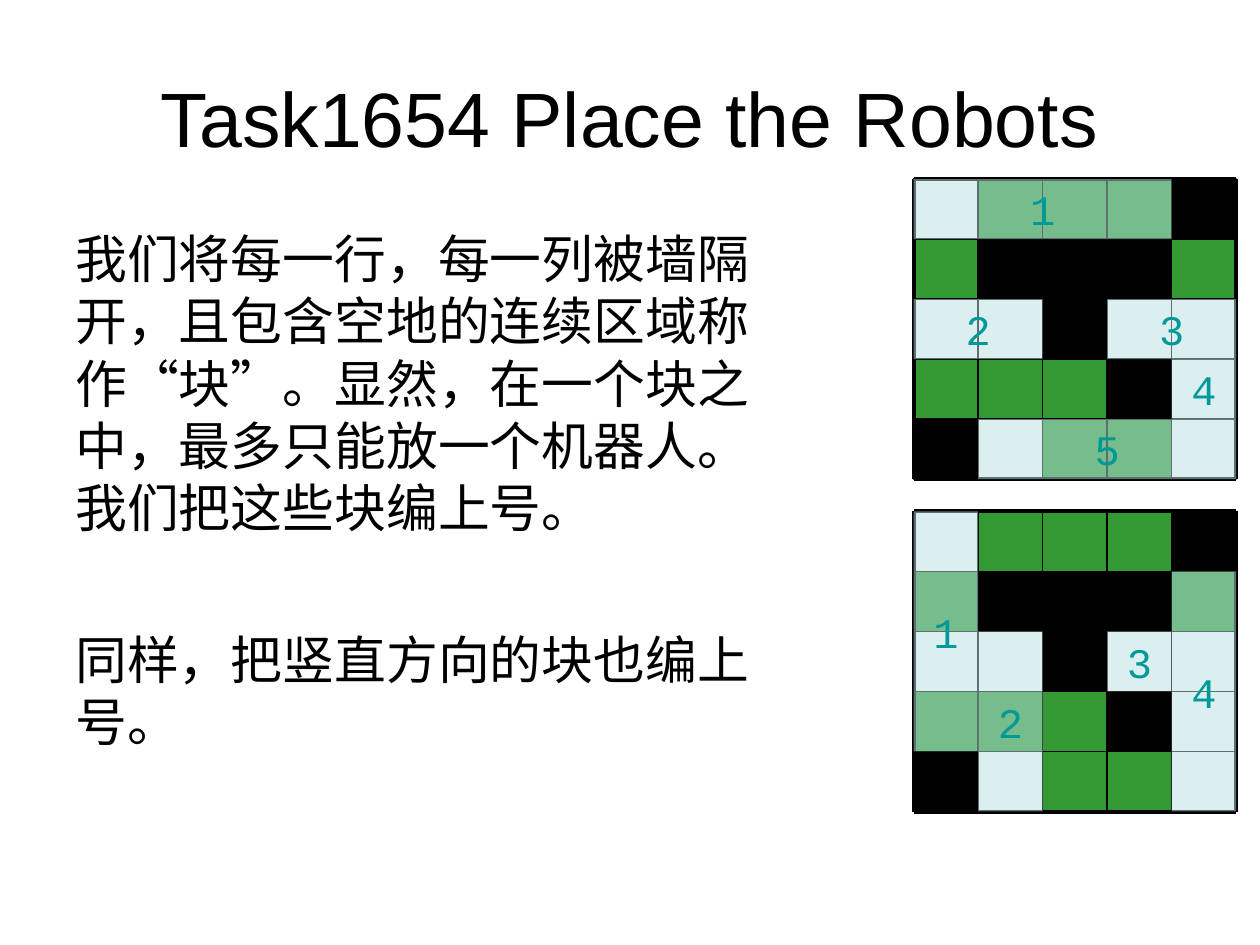
import pptx
import pptx.util
import pptx.dml.color
import pptx.enum.lang
import pptx.enum.shapes
import pptx.enum.text
import pptx.oxml
import pptx.oxml.ns
from lxml import etree

Cm = pptx.util.Cm
Pt = pptx.util.Pt
RGBColor = pptx.dml.color.RGBColor
Align = pptx.enum.text.PP_ALIGN
Anchor = pptx.enum.text.MSO_ANCHOR
Language = pptx.enum.lang.MSO_LANGUAGE_ID
qn = pptx.oxml.ns.qn

BLACK = RGBColor(0x00, 0x00, 0x00)
GREEN = RGBColor(0x33, 0x99, 0x33)
PALE_BLUE = RGBColor(0xBB, 0xE0, 0xE3)
TEAL = RGBColor(0x00, 0x99, 0x99)

CELL_WIDTH = 1.3
CELL_HEIGHT = 1.21
MAP_ROWS = [".GGG#", "G###G", "..#..", "GGG#.", "#.GG."]
CELL_FILLS = {"G": GREEN, "#": BLACK, ".": None}

ROW_BLOCKS = [("1", 0, 0, 4, 1), ("2", 0, 2, 2, 1), ("3", 3, 2, 2, 1),
              ("4", 4, 3, 1, 1), ("5", 1, 4, 4, 1)]
COLUMN_BLOCKS = [("1", 0, 0, 1, 4), ("2", 1, 2, 1, 3), ("3", 3, 2, 1, 1),
                 ("4", 4, 1, 1, 4)]

BODY_TEXTS = [
    "我们将每一行，每一列被墙隔开，且包含空地的连续区域称作“块”。显然，在一个块之中，最多只能放一个机器人。我们把这些块编上号。",
    "同样，把竖直方向的块也编上号。",
]


def write_text(paragraph, text, size, font="Arial", color=BLACK, align=Align.LEFT,
               before=0, language=Language.ENGLISH_US):
    paragraph.alignment = align
    paragraph.space_before = Pt(before)
    run = paragraph.add_run()
    run.text = text
    run.font.size = Pt(size)
    run.font.name = font
    run.font.color.rgb = color
    run.font.language_id = language


def add_text_frame(slide, left, top, width, height, anchor):
    text_box = slide.shapes.add_textbox(Cm(left), Cm(top), Cm(width), Cm(height))
    frame = text_box.text_frame
    frame.word_wrap = True
    frame.vertical_anchor = anchor
    return frame


def add_title(slide, left, top, width, height):
    frame = add_text_frame(slide, left, top, width, height, Anchor.MIDDLE)
    write_text(frame.paragraphs[0], "Task1654 Place the Robots", 44, align=Align.CENTER)


def add_body(slide, left, top, width, height):
    frame = add_text_frame(slide, left, top, width, height, Anchor.TOP)
    first, second = BODY_TEXTS
    write_text(frame.paragraphs[0], first, 29.6, language=Language.SIMPLIFIED_CHINESE)
    write_text(frame.add_paragraph(), second, 29.6, before=51.6,
               language=Language.SIMPLIFIED_CHINESE)


def add_rectangle(shapes, left, top, width, height, fill):
    shape = shapes.add_shape(pptx.enum.shapes.MSO_SHAPE.RECTANGLE,
                             Cm(left), Cm(top), Cm(width), Cm(height))
    shape.shadow.inherit = False
    if fill is None:
        shape.fill.background()
    else:
        shape.fill.solid()
        shape.fill.fore_color.rgb = fill
    return shape


def add_cell(shapes, left, top, fill):
    cell = add_rectangle(shapes, left, top, CELL_WIDTH, CELL_HEIGHT, fill)
    cell.line.color.rgb = BLACK
    cell.line.width = Pt(0.75)


def add_border(shapes, start_x, start_y, end_x, end_y):
    border = shapes.add_connector(pptx.enum.shapes.MSO_CONNECTOR.STRAIGHT,
                                  Cm(start_x), Cm(start_y), Cm(end_x), Cm(end_y))
    border.line.color.rgb = BLACK
    border.line.width = Pt(2.25)
    etree.SubElement(border._element.spPr, qn("a:effectLst"))


def add_block(shapes, label, left, top, width, height):
    block = add_rectangle(shapes, left, top, width, height, PALE_BLUE)
    block.line.fill.background()
    color = block._element.spPr.find(qn("a:solidFill"))[0]
    etree.SubElement(color, qn("a:alpha")).set("val", "50000")
    block.text_frame.word_wrap = True
    block.text_frame.vertical_anchor = Anchor.MIDDLE
    write_text(block.text_frame.paragraphs[0], label, 24, font="Courier New",
               color=TEAL, align=Align.CENTER)


def add_map(slide, left, top, blocks):
    shapes = slide.shapes.add_group_shape().shapes
    for row, kinds in enumerate(MAP_ROWS):
        for column, kind in enumerate(kinds):
            add_cell(shapes, left + column * CELL_WIDTH, top + row * CELL_HEIGHT,
                     CELL_FILLS[kind])
    right = left + len(MAP_ROWS[0]) * CELL_WIDTH
    bottom = top + len(MAP_ROWS) * CELL_HEIGHT
    for y in (top, bottom):
        add_border(shapes, left, y, right, y)
    for x in (left, right):
        add_border(shapes, x, top, x, bottom)
    for label, column, row, columns, rows in blocks:
        add_block(shapes, label, left + column * CELL_WIDTH, top + row * CELL_HEIGHT,
                  columns * CELL_WIDTH, rows * CELL_HEIGHT)


def main():
    presentation = pptx.Presentation()
    presentation.slide_width = Cm(25.4)
    presentation.slide_height = Cm(19.05)
    slide = presentation.slides.add_slide(presentation.slide_layouts[6])
    add_title(slide, 1.27, 0.76, 22.86, 3.18)
    add_body(slide, 1.27, 4.45, 14.17, 12.57)
    add_map(slide, 18.42, 10.31, COLUMN_BLOCKS)
    add_map(slide, 18.42, 3.61, ROW_BLOCKS)
    presentation.save("out.pptx")


if __name__ == "__main__":
    main()
